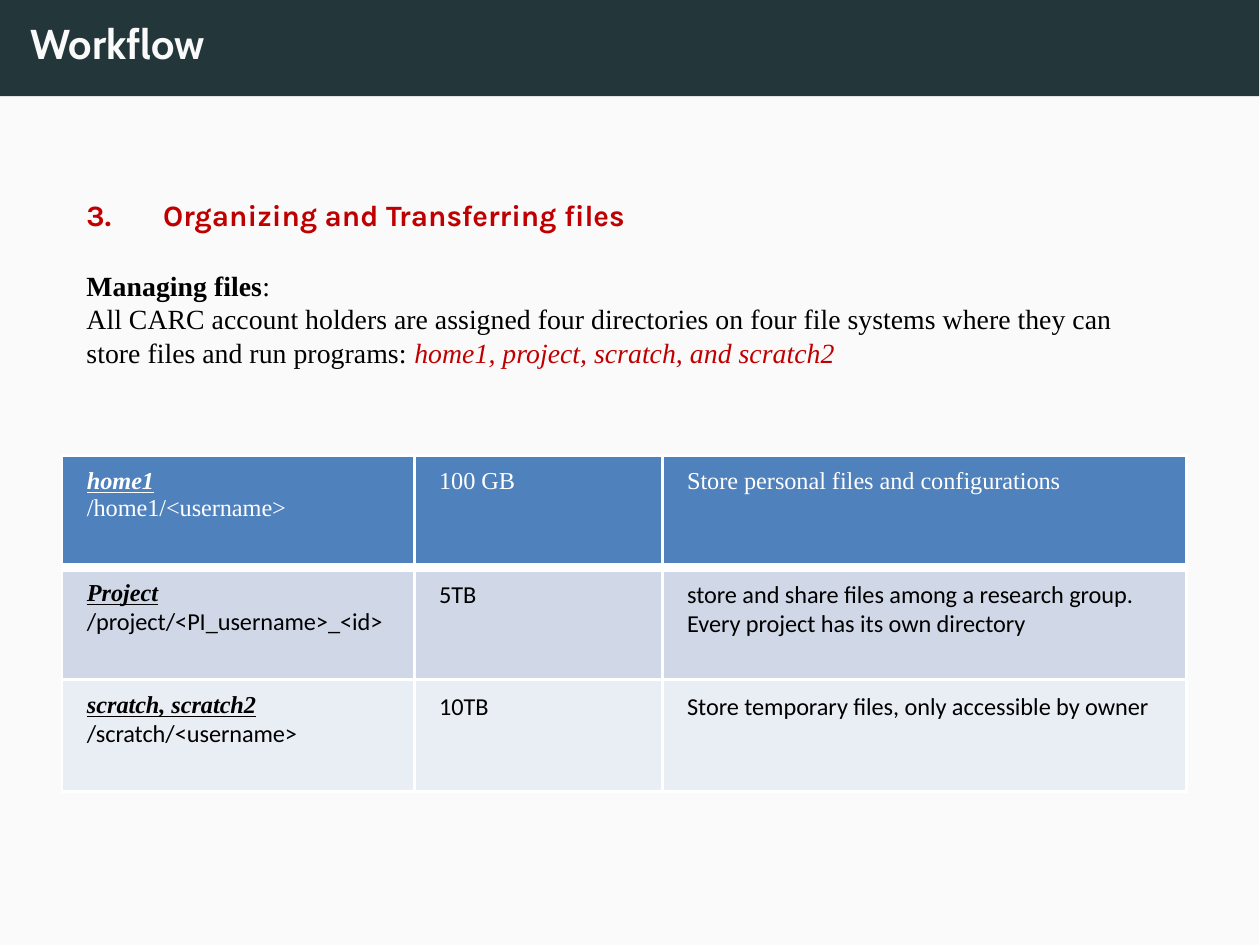
from lxml.etree import SubElement
from pptx import Presentation
from pptx.dml.color import RGBColor
from pptx.enum.shapes import MSO_SHAPE
from pptx.oxml import parse_xml
from pptx.oxml.ns import nsdecls, qn
from pptx.util import Cm, Pt

TIMES = {"name": "Times New Roman", "size": Pt(8), "bold": False}
STRONG = {**TIMES, "bold": True}
SLANT = {**TIMES, "italic": True, "hue": "C00000"}
HEAD = {"name": "Karla", "size": Pt(8.5), "bold": True, "hue": "C00000"}
TITLE = {"name": "Cabin", "size": Pt(12), "bold": True, "hue": "FAFAFA"}
CELL = {"name": "Calibri", "size": Pt(7), "bold": False}
TOP = {**CELL, "name": "Times New Roman", "hue": "FFFFFF"}
LABEL = {"name": "Times New Roman", "bold": True, "italic": True, "underline": True}

ROWS = [
    ("4F81BD", TOP, 3, ["home1", "/home1/<username>"], "100 GB",
     "Store personal files and configurations"),
    ("D0D8E8", CELL, 1, ["Project", "/project/<PI_username>_<id>"], "5TB",
     "store and share files among a research group. Every project has its own directory"),
    ("E9EDF4", CELL, 1, ["scratch, scratch2", "/scratch/<username>"], "10TB",
     "Store temporary files, only accessible by owner"),
]


def paint(part, hue):
    part.solid()
    part.fore_color.rgb = RGBColor.from_string(hue)


def style(font, form):
    for key, value in form.items():
        if key != "hue":
            setattr(font, key, value)
    paint(font.fill, form.get("hue", "000000"))


def write(frame, lines):
    for index, runs in enumerate(lines):
        para = frame.add_paragraph() if index else frame.paragraphs[0]
        for text, form in runs:
            run = para.add_run()
            run.text = text
            style(run.font, form)


def add_bar(slide, top, height, hue):
    bar = slide.shapes.add_shape(MSO_SHAPE.RECTANGLE, 0, Cm(top), Cm(12.8), Cm(height))
    bar.shadow.inherit = False
    paint(bar.fill, hue)
    bar.line.fill.background()


def add_text(slide, place, lines, inset=None):
    frame = slide.shapes.add_textbox(*map(Cm, place)).text_frame
    frame.word_wrap = True
    if inset is not None:
        for side in ("left", "top", "right", "bottom"):
            setattr(frame, "margin_" + side, Cm(inset))
    write(frame, lines)
    return frame


def add_tab(para, place):
    tabs = SubElement(para._p.get_or_add_pPr(), qn("a:tabLst"))
    SubElement(tabs, qn("a:tab"), pos=str(Cm(place)), algn="l")


def edge(cell, widths):
    props = cell._tc.get_or_add_tcPr()
    for index, (side, width) in enumerate(zip("LRTB", widths)):
        props.insert(index, parse_xml(
            f'<a:ln{side} {nsdecls("a")} w="{Pt(width)}"><a:solidFill>'
            f'<a:srgbClr val="FFFFFF"/></a:solidFill></a:ln{side}>'))


def add_grid(slide):
    place = map(Cm, (0.63, 4.63, 11.43, 3.42))
    table = slide.shapes.add_table(len(ROWS), 3, *place).table
    table.first_row = table.horz_banding = False
    for col, width in zip(table.columns, (3.58, 2.52, 5.33)):
        col.width = Cm(width)
    above = 1
    for row, (hue, form, below, names, size, use) in zip(table.rows, ROWS):
        row.height = Cm(1.14)
        name, folder = names
        first = [[(name, {**form, **LABEL})], [(folder, form)]]
        for cell, lines in zip(row.cells, (first, [[(size, form)]], [[(use, form)]])):
            paint(cell.fill, hue)
            edge(cell, (1, 1, above, below))
            write(cell.text_frame, lines)
        above = below


def main():
    deck = Presentation()
    deck.slide_width, deck.slide_height = Pt(363), Pt(272.5)
    slide = deck.slides.add_slide(deck.slide_layouts[6])
    add_bar(slide, 0.98, 8.62, "FAFAFA")
    add_bar(slide, 0, 0.98, "23373B")
    body = add_text(slide, (0.63, 1.88, 11.28, 2.74), [
        [("3.\tOrganizing and Transferring files", HEAD)],
        [("Managing files", STRONG), (":", TIMES)],
        [("All CARC account holders are assigned four directories on four file systems "
          "where they can store files and run programs: ", TIMES),
         ("home1, project, scratch, and scratch2", SLANT)],
    ])
    add_tab(body.paragraphs[0], 0.78)
    body.paragraphs[1].space_before = Pt(10.4)
    add_text(slide, (0.31, 0.18, 12.19, 0.51), [[("Workflow", TITLE)]], 0)
    add_grid(slide)
    deck.save("out.pptx")


if __name__ == "__main__":
    main()
